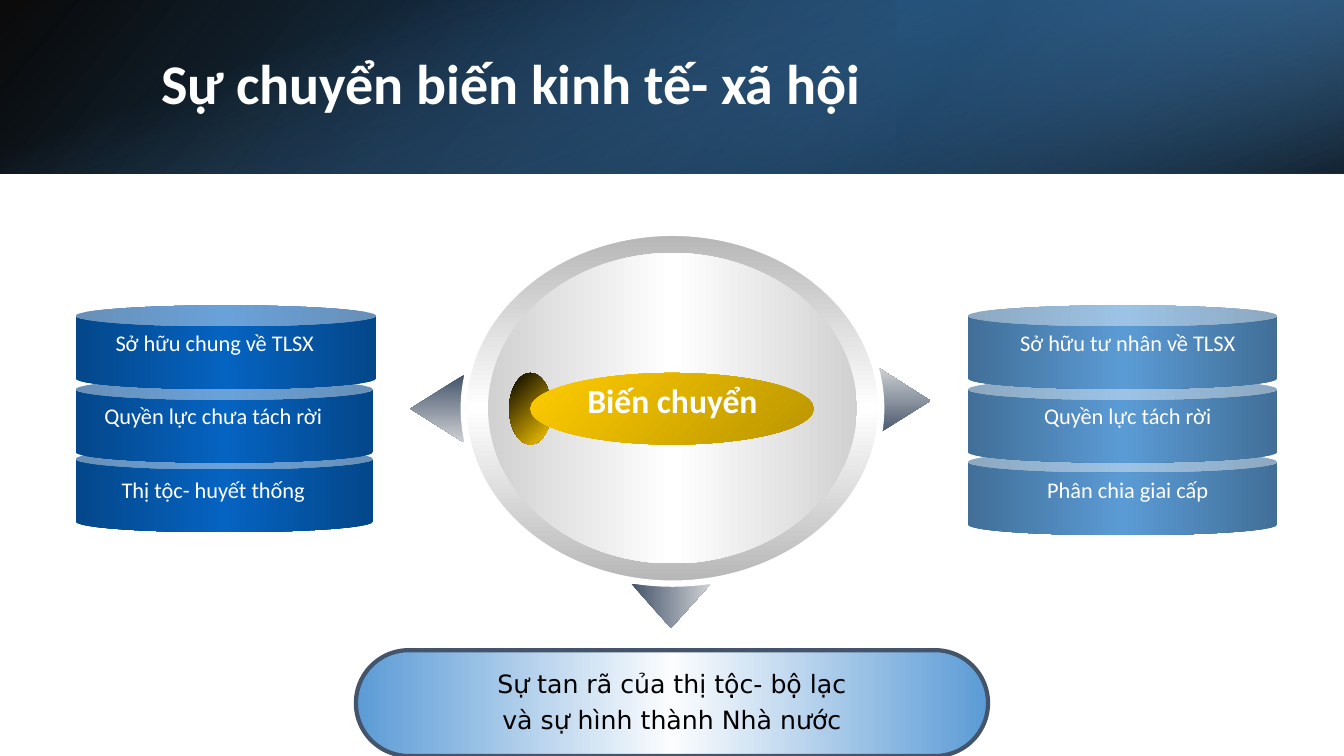
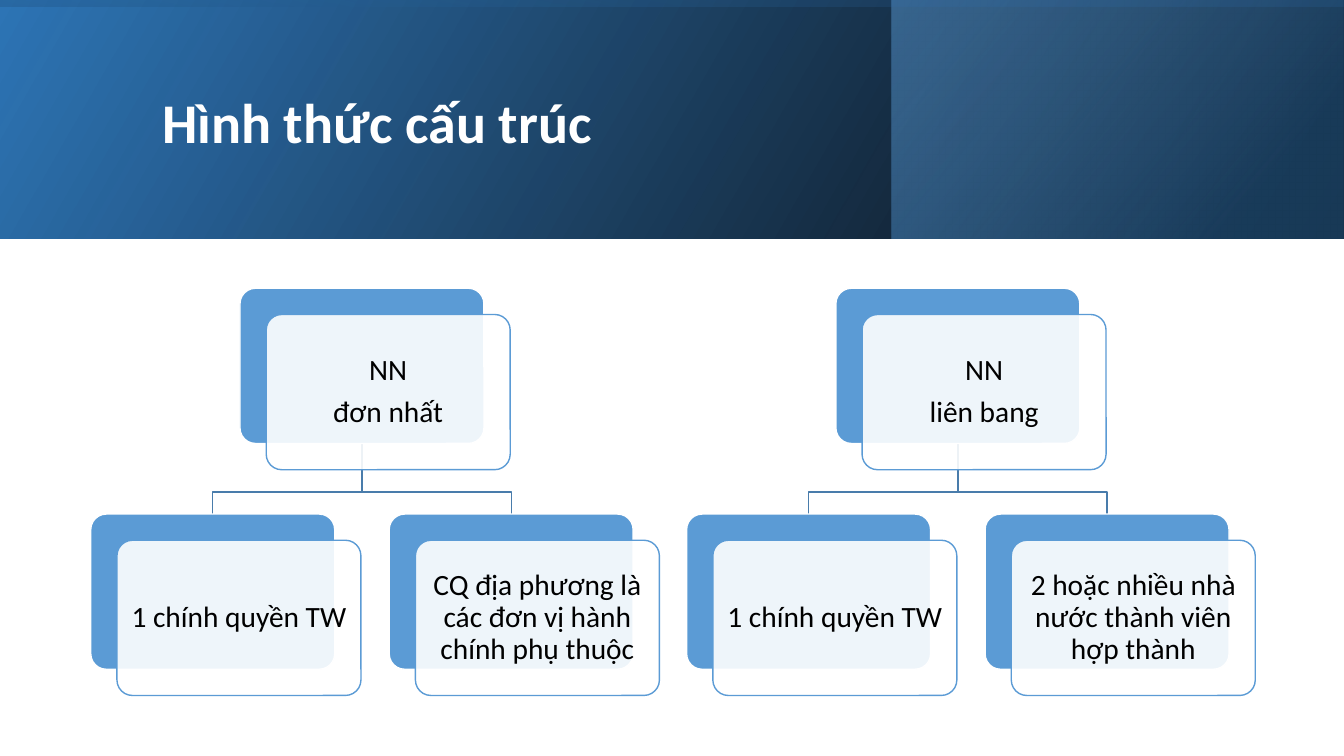
from dataclasses import dataclass

from lxml import etree
from pptx import Presentation
from pptx import util as u
from pptx.dml.color import RGBColor
from pptx.enum import shapes, text
from pptx.oxml import ns

PX = 9144  # EMU per px, 100 px to the inch
SLIDE_W, SLIDE_H = 1333, 750
KIND = shapes.MSO_SHAPE
ALIGN = text.PP_ALIGN
ANCHOR = text.MSO_ANCHOR


@dataclass(frozen=True)
class Theme:
    white: str = "FFFFFF"
    black: str = "000000"
    slate: str = "44546A"
    mist: str = "D0D2D5"
    silver: str = "B6B6B6"
    pale_silver: str = "D1D1D1"
    gold: str = "FFCC00"
    dark_gold: str = "BA9500"
    royal: str = "0563C1"
    dark_royal: str = "04478A"
    sky: str = "5B9BD5"
    dark_sky: str = "416F98"
    ice: str = "FCFDFE"
    ocean: str = "2E75B6"
    navy: str = "1F4E79"
    branch: str = "497CAB"
    font: str = "Calibri"
    result_font: str = "DejaVu Sans"
    title_size: int = 40
    hub_size: int = 24
    card_size: int = 21
    result_size: int = 18
    label_size: int = 16


T = Theme()


# Shared drawing helpers

def emu(box):
    return [round(length * PX) for length in box]


def add_alpha(color_element, percent):
    etree.SubElement(color_element, ns.qn("a:alpha"), val=str(percent * 1000))


def paint_gradient(shape, stops, angle):
    """Stops are (position %, colour) or (position %, colour, opacity %)."""
    shape.fill.background()
    properties = shape._element.spPr
    gradient = etree.Element(ns.qn("a:gradFill"), rotWithShape="1")
    stop_list = etree.SubElement(gradient, ns.qn("a:gsLst"))
    for position, color, *opacity in stops:
        stop = etree.SubElement(stop_list, ns.qn("a:gs"), pos=str(position * 1000))
        value = etree.SubElement(stop, ns.qn("a:srgbClr"), val=color)
        if opacity:
            add_alpha(value, opacity[0])
    etree.SubElement(gradient, ns.qn("a:lin"), ang=str(angle * 60000), scaled="0")
    properties.replace(properties.find(ns.qn("a:noFill")), gradient)


def set_line(shape, color=None, width=1):
    shape.shadow.inherit = False
    if color:
        shape.line.color.rgb = RGBColor.from_string(color)
        shape.line.width = u.Pt(width)
    else:
        shape.line.fill.background()


def add_part(slide, kind, box, fill, angle=0, line=None, width=1,
             adjust=(), rotation=0, flip=False):
    """Fill is one colour, or a list of gradient stops."""
    part = slide.shapes.add_shape(kind, *emu(box))
    for index, value in enumerate(adjust):
        part.adjustments[index] = value
    part.rotation = rotation
    if flip:
        part._element.spPr.xfrm.set("flipH", "1")
    if isinstance(fill, str):
        part.fill.solid()
        part.fill.fore_color.rgb = RGBColor.from_string(fill)
    else:
        paint_gradient(part, fill, angle)
    set_line(part, line, width)
    return part


def write(shape, lines, size, color, font=T.font, bold=False, align=ALIGN.CENTER,
          anchor=ANCHOR.TOP, wrap=False, after=6.0):
    frame = shape.text_frame
    frame.word_wrap = wrap
    frame.vertical_anchor = anchor
    for index, line in enumerate(lines):
        paragraph = frame.add_paragraph() if index else frame.paragraphs[0]
        paragraph.text = line
        paragraph.alignment = align
        paragraph.line_spacing = 0.9
        paragraph.space_after = u.Pt(after)
        paragraph.font.name = font
        paragraph.font.size = u.Pt(size)
        paragraph.font.bold = bold
        paragraph.font.color.rgb = RGBColor.from_string(color)


def add_label(slide, box, words, size, **style):
    write(slide.shapes.add_textbox(*emu(box)), [words], size, T.white, **style)


def balanced(edge, middle):
    return [(0, edge), (50, middle), (100, edge)]


def header(slide, height, title, title_box, base_angle, corner, sheen):
    """Three gradient layers across the top, with the title over them."""
    add_part(slide, KIND.RECTANGLE, (0, 0, SLIDE_W, height),
             [(0, T.black, 96), (100, T.ocean)], base_angle, flip=True)
    add_part(slide, KIND.RECTANGLE, flip=True, angle=320, **corner)
    # The sheen stands upright and is turned to lie along the band
    shift = (SLIDE_W - height) / 2
    add_part(slide, KIND.RECTANGLE, (shift, -shift, height, SLIDE_W), **sheen)
    add_label(slide, title_box, title, T.title_size, bold=True, align=ALIGN.LEFT,
              anchor=ANCHOR.MIDDLE, wrap=True, after=0)


# Slide 1: economic and social change

def hub(slide, box, words):
    left, top, width, height = box
    arrows = [((-60, 148, 67, 53), 270), ((403, 140, 67, 53), 90),
              ((166, 348, 79, 44), 180)]
    for (x, y, w, h), rotation in arrows:
        add_part(slide, KIND.UP_ARROW, (left + x, top + y, w, h),
                 [(0, T.slate), (100, T.mist)], adjust=(0.52, 1),
                 rotation=rotation, flip=True)
    # Ring and disc
    add_part(slide, KIND.OVAL, box, balanced(T.silver, T.white), 90,
             line=T.white, width=4.5)
    add_part(slide, KIND.OVAL, (left + 24, top + 20, width - 48, height - 40),
             balanced(T.pale_silver, T.white))
    # Gold plate
    add_part(slide, KIND.OVAL, (left + 45, top + 139, 42, 71),
             [(0, T.black), (100, T.gold)], 45)
    add_part(slide, KIND.OVAL, (left + 66, top + 139, 281, 71),
             [(0, T.gold), (100, T.dark_gold)], 45)
    add_label(slide, (left + 109, top + 145, 196, 52), words, T.hub_size, bold=True)


def can_stack(slide, left, top, cans, label_shift, fill):
    """Cans are (words, offset from the top, width), from top to bottom."""
    for _, offset, width in reversed(cans):
        add_part(slide, KIND.CAN, (left, top + offset, width, 83), fill,
                 adjust=(0.25,))
    for row, (words, _, width) in enumerate(cans):
        add_label(slide, (left + label_shift, top + 22 + 72.5 * row, width, 42),
                  words, T.label_size)


def result_pill(slide, box, lines):
    pill = add_part(slide, KIND.ROUNDED_RECTANGLE, box, balanced(T.sky, T.ice),
                    line=T.slate, width=3, adjust=(0.5,))
    write(pill, lines, T.result_size, T.black, font=T.result_font,
          anchor=ANCHOR.MIDDLE)


def change_slide(slide):
    header(slide, 172, "Sự chuyển biến kinh tế- xã hội", (150, 38, 1098, 96), 140,
           corner=dict(box=(889, 0, 444, 172), rotation=180,
                       fill=[(19, T.navy, 68), (100, T.sky, 79)]),
           sheen=dict(fill=[(23, T.sky, 0), (99, T.black, 74)], angle=340,
                      rotation=90))
    hub(slide, (460, 231, 414, 348), "Biến chuyển")
    can_stack(slide, 75, 303,
              [("Sở hữu chung về TLSX", 0, 298),
               ("Quyền lực chưa tách rời", 73, 295),
               ("Thị tộc- huyết thống", 142, 295)],
              -11, balanced(T.dark_royal, T.royal))
    can_stack(slide, 960, 303,
              [("Sở hữu tư nhân về TLSX", 0, 307),
               ("Quyền lực tách rời", 73, 307),
               ("Phân chia giai cấp", 145, 307)],
              5, balanced(T.dark_sky, T.sky))
    result_pill(slide, (353, 645, 627, 105),
                ["Sự tan rã của thị tộc- bộ lạc", "và sự hình thành Nhà nước"])


# Slide 2: forms of state structure

CARD_W, CARD_H, CARD_SHIFT = 242, 154, 26


def card(slide, left, top, lines):
    add_part(slide, KIND.ROUNDED_RECTANGLE, (left, top, CARD_W, CARD_H), T.sky,
             line=T.white, adjust=(0.1,))
    front = add_part(slide, KIND.ROUNDED_RECTANGLE,
                     (left + CARD_SHIFT, top + CARD_SHIFT, CARD_W, CARD_H),
                     T.white, line=T.sky, adjust=(0.1,))
    add_alpha(front._element.spPr.find(ns.qn("a:solidFill"))[0], 90)
    frame = front.text_frame
    frame.margin_left = frame.margin_right = 9 * PX
    frame.margin_top = frame.margin_bottom = 9 * PX
    write(front, lines, T.card_size, T.black, anchor=ANCHOR.MIDDLE, wrap=True,
          after=7.35)


def state_tree(slide, left, top, parent, children):
    pitch, drop = 296, 224
    parent_left = left + pitch / 2
    parent_x, parent_bottom = parent_left + CARD_W / 2, top + CARD_H
    bend, child_top = parent_bottom + 48, top + drop
    child_lefts = [left + pitch * column for column in range(len(children))]
    # Branches lie behind the cards
    for child_left in child_lefts:
        child_x = child_left + CARD_W / 2
        outline = slide.shapes.build_freeform(parent_x, parent_bottom, scale=PX)
        outline.add_line_segments(
            [(parent_x, bend), (child_x, bend), (child_x, child_top)], close=False)
        branch = outline.convert_to_shape()
        branch.fill.background()
        set_line(branch, T.branch)
    card(slide, parent_left, top, parent)
    for child_left, words in zip(child_lefts, children):
        card(slide, child_left, child_top, [words])


def structure_slide(slide):
    header(slide, 237, "Hình thức cấu trúc", (151, 38, 1063, 172), 330,
           corner=dict(box=(884, 0, 448, 237),
                       fill=[(19, T.navy, 68), (100, T.sky, 48)]),
           sheen=dict(fill=[(23, T.ocean, 16), (99, T.black, 45)], angle=350,
                      rotation=270, flip=True))
    state_tree(slide, 90, 286, ["NN", "đơn nhất"],
               ["1 chính quyền TW",
                "CQ địa phương là các đơn vị hành chính phụ thuộc"])
    state_tree(slide, 681, 286, ["NN", "liên bang"],
               ["1 chính quyền TW",
                "2 hoặc nhiều nhà nước thành viên hợp thành"])


def main():
    deck = Presentation()
    deck.slide_width, deck.slide_height = emu((SLIDE_W, SLIDE_H))
    blank = deck.slide_layouts[6]
    for build in (change_slide, structure_slide):
        build(deck.slides.add_slide(blank))
    deck.save("out.pptx")


if __name__ == "__main__":
    main()
